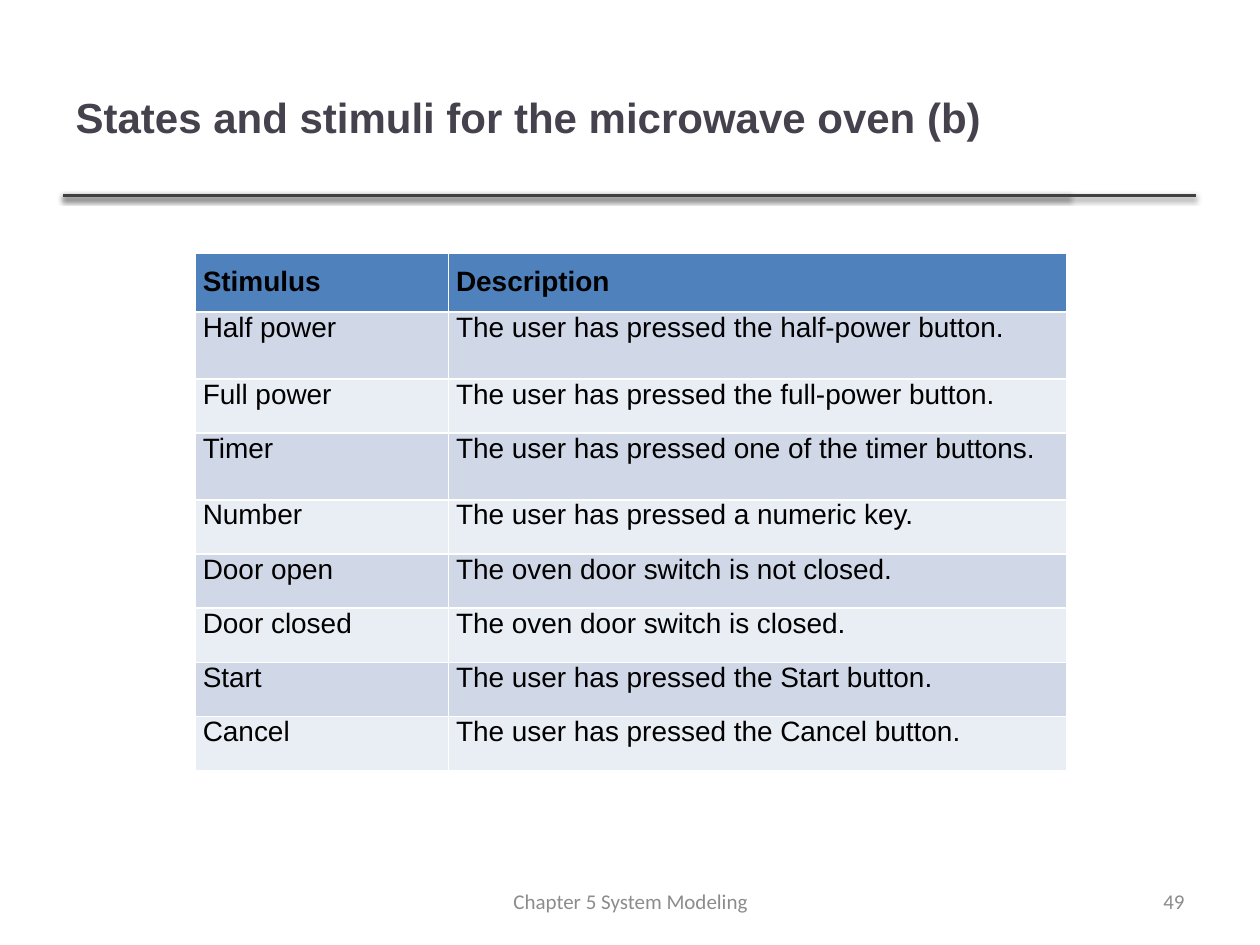
from lxml import etree
from pptx import Presentation
from pptx.dml.color import RGBColor
from pptx.enum.shapes import MSO_CONNECTOR
from pptx.enum.text import MSO_ANCHOR, PP_ALIGN
from pptx.oxml.ns import qn
from pptx.util import Inches, Pt

STRAIGHT = MSO_CONNECTOR.STRAIGHT
MIDDLE, TOP = MSO_ANCHOR.MIDDLE, MSO_ANCHOR.TOP
LEFT, CENTER, RIGHT = PP_ALIGN.LEFT, PP_ALIGN.CENTER, PP_ALIGN.RIGHT
JUSTIFY = PP_ALIGN.JUSTIFY

TITLE_COLOR = RGBColor(0x46, 0x42, 0x4D)
RULE_COLOR = RGBColor(0x40, 0x40, 0x40)
FOOTER_COLOR = RGBColor(0x8C, 0x8C, 0x8C)
BLACK = RGBColor(0x00, 0x00, 0x00)
HEADER_FILL = RGBColor(0x4F, 0x81, 0xBD)
BAND_FILLS = (RGBColor(0xE9, 0xED, 0xF4), RGBColor(0xD0, 0xD8, 0xE8))

STIMULI = [
    ("Stimulus", "Description"),
    ("Half power", "The user has pressed the half-power button."),
    ("Full power", "The user has pressed the full-power button."),
    ("Timer", "The user has pressed one of the timer buttons."),
    ("Number", "The user has pressed a numeric key."),
    ("Door open", "The oven door switch is not closed."),
    ("Door closed", "The oven door switch is closed."),
    ("Start", "The user has pressed the Start button."),
    ("Cancel", "The user has pressed the Cancel button."),
]
COLUMN_WIDTHS = (2.01, 4.91)
ROW_HEIGHTS = (0.43, 0.53, 0.43, 0.53, 0.43, 0.43, 0.43, 0.43, 0.43)


class SlideBuilder:
    """Holds the page and draws its elements in one style."""

    def __init__(self, page):
        self.page = page

    def add_text(self, frame, text, size, color, font="Arial", bold=False, align=LEFT):
        para = frame.paragraphs[0]
        para.alignment = align
        span = para.add_run()
        span.text = text
        span.font.name = font
        span.font.size = Pt(size)
        span.font.bold = bold
        span.font.color.rgb = color

    def rule(self, left, right, top):
        line = self.page.shapes.add_connector(
            STRAIGHT, Inches(left), Inches(top), Inches(right), Inches(top))
        line.line.color.rgb = RULE_COLOR
        line.line.width = Pt(2)
        effects = etree.SubElement(line._element.spPr, qn("a:effectLst"))
        shadow = etree.SubElement(
            effects, qn("a:outerShdw"), blurRad=str(Pt(3.1)), dist=str(Pt(1.6)),
            dir="5400000", rotWithShape="0")
        color = etree.SubElement(shadow, qn("a:srgbClr"), val=str(BLACK))
        etree.SubElement(color, qn("a:alpha"), val="38000")

    def title(self, text, left, top, width, height):
        box = self.page.shapes.title
        box.left, box.top = Inches(left), Inches(top)
        box.width, box.height = Inches(width), Inches(height)
        box.text_frame.vertical_anchor = MIDDLE
        self.add_text(box.text_frame, text, 24, TITLE_COLOR, bold=True)

    def footer(self, text, left, width, align):
        box = self.page.shapes.add_textbox(
            Inches(left), Inches(6.95), Inches(width), Inches(0.4))
        box.text_frame.word_wrap = True
        box.text_frame.vertical_anchor = MIDDLE
        self.add_text(box.text_frame, text, 12, FOOTER_COLOR, "Calibri", align=align)

    def table(self, rows, left, top, widths, heights):
        table = self.page.shapes.add_table(
            len(rows), len(widths), Inches(left), Inches(top),
            Inches(sum(widths)), Inches(sum(heights))).table
        for column, width in zip(table.columns, widths):
            column.width = Inches(width)
        for row, height in zip(table.rows, heights):
            row.height = Inches(height)
        for index, texts in enumerate(rows):
            for column, text in enumerate(texts):
                self.cell(table.cell(index, column), text, index)

    def cell(self, cell, text, row):
        header = row == 0
        cell.margin_left = cell.margin_right = Inches(0.06)
        cell.margin_top = Inches(0.1 if header else 0)
        cell.margin_bottom = Inches(0.1)
        cell.vertical_anchor = TOP
        cell.fill.solid()
        cell.fill.fore_color.rgb = HEADER_FILL if header else BAND_FILLS[row % 2]
        self.add_text(cell.text_frame, text, 16, BLACK, bold=header, align=JUSTIFY)


def main():
    deck = Presentation()
    deck.slide_width, deck.slide_height = Inches(10), Inches(7.5)
    builder = SlideBuilder(deck.slides.add_slide(deck.slide_layouts[5]))
    for right in (8.49, 9.49):
        builder.rule(0.5, right, 1.55)
    builder.title("States and stimuli for the microwave oven (b)", 0.5, 0.3, 7.98, 1.25)
    builder.footer("Chapter 5 System Modeling", 3.42, 3.17, CENTER)
    builder.footer("49", 7.17, 2.33, RIGHT)
    builder.table(STIMULI, 1.55, 2.01, COLUMN_WIDTHS, ROW_HEIGHTS)
    deck.save("out.pptx")


if __name__ == "__main__":
    main()
